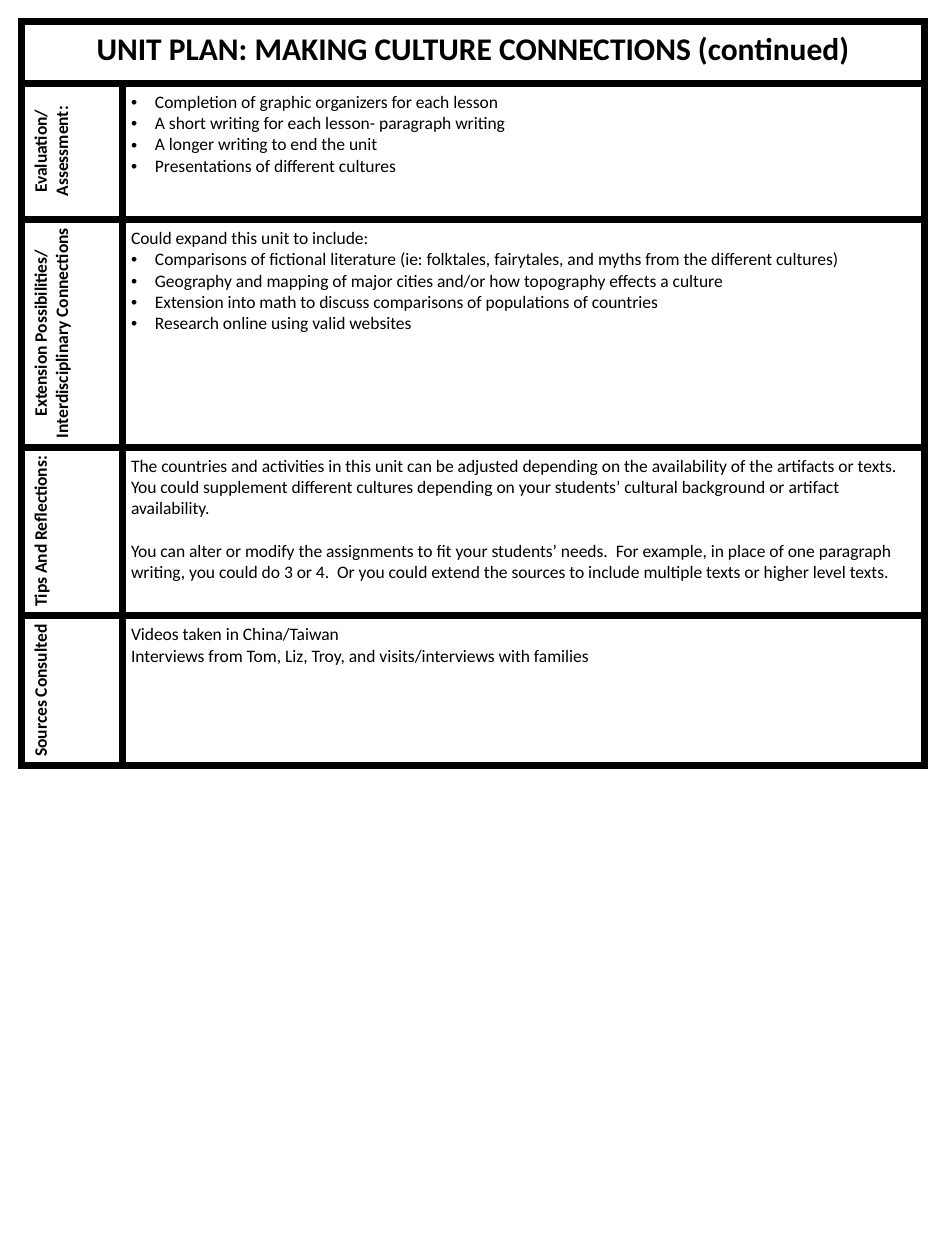
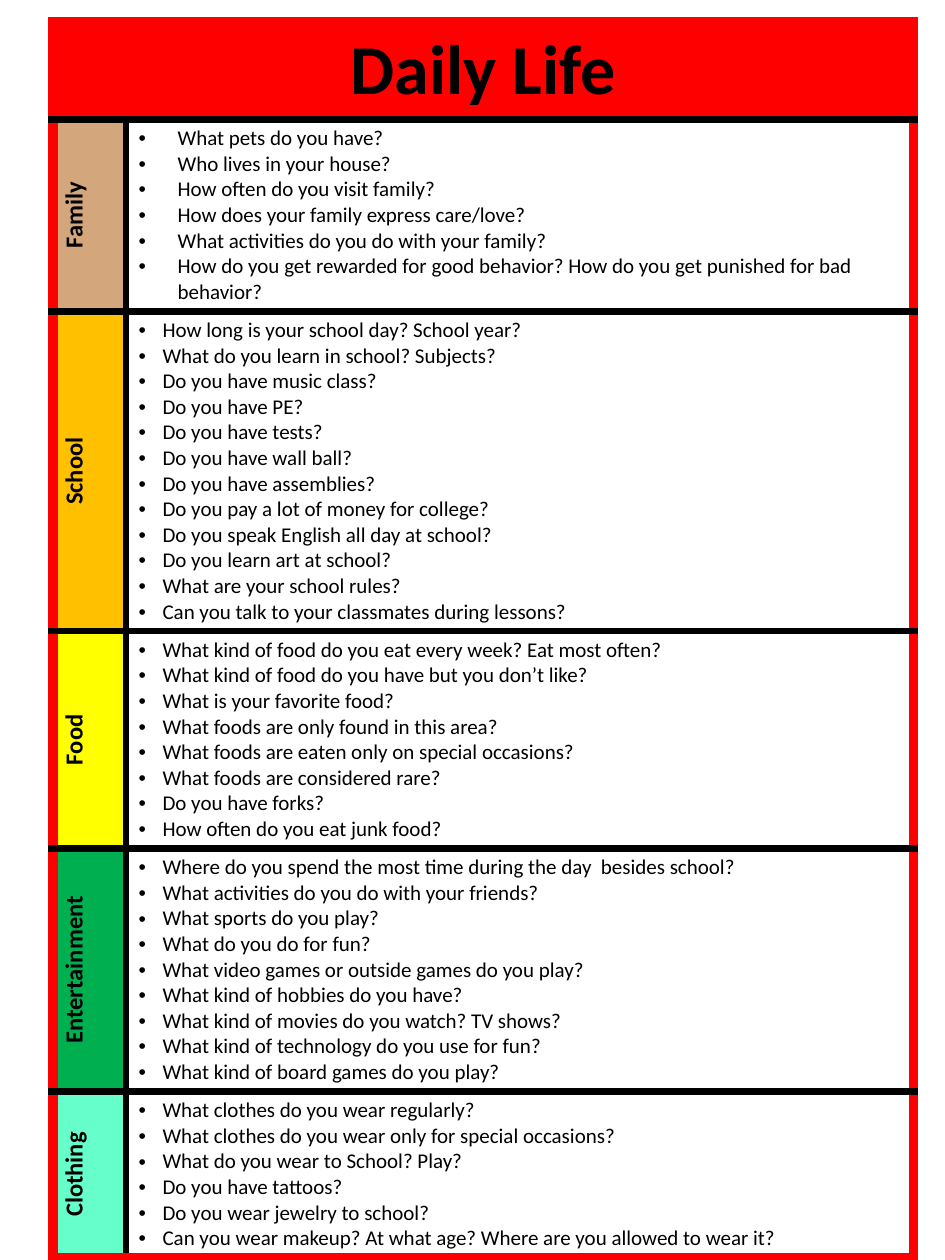
from lxml import etree
from pptx import Presentation
from pptx import util as u
from pptx.dml.color import RGBColor
from pptx.enum import text
from pptx.oxml.ns import qn

FONT = "Calibri"
BLACK, RED = "000000", "FF0000"
TOP = 0.17
RULE = (BLACK, 4.5)  # colour and width of the inner grid lines
TITLE_ROW = 0


def color(value):
    return RGBColor.from_string(value)


def apply(target, values):
    for name, value in values.items():
        setattr(target, name, value)


def lines(*texts, **options):
    """Paragraphs that share one format."""
    return [{"text": words, **options} for words in texts]


def bullets(*texts, indent=0.19):
    return lines(*texts, indent=indent)


# Table parts

def add_bullet(para, indent):
    props = para._p.get_or_add_pPr()
    props.set("marL", str(u.Inches(indent)))
    props.set("indent", str(-u.Inches(indent)))
    etree.SubElement(props, qn("a:buFont")).set("typeface", "Arial")
    etree.SubElement(props, qn("a:buChar")).set("char", "•")


def write(cell, items, size, bold=False, align=text.PP_ALIGN.LEFT):
    frame = cell.text_frame
    for number, item in enumerate(items):
        para = frame.add_paragraph() if number else frame.paragraphs[0]
        apply(para, {"alignment": align, "space_before": u.Pt(item.get("before", 0))})
        if "indent" in item:
            add_bullet(para, item["indent"])
        span = para.add_run()
        span.text = item["text"]
        apply(span.font, {"name": FONT, "size": u.Pt(size), "bold": bold})
        span.font.color.rgb = color(BLACK)


def write_heading(cell, items, size):
    write(cell, items, size, bold=True, align=text.PP_ALIGN.CENTER)


def paint(cell, fill):
    if fill:
        cell.fill.solid()
        cell.fill.fore_color.rgb = color(fill)
    else:
        cell.fill.background()


def add_borders(cell, edges):
    props = cell._tc.get_or_add_tcPr()
    for place, (side, (shade, width)) in enumerate(edges.items()):
        line = etree.Element(qn(f"a:ln{side}"), w=str(u.Pt(width)))
        fill = etree.SubElement(line, qn("a:solidFill"))
        etree.SubElement(fill, qn("a:srgbClr")).set("val", shade)
        props.insert(place, line)


def cell_edges(row, col, last_row, outer):
    """Outer sides take the frame's line, the rest the inner rule."""
    title = row == TITLE_ROW
    on_frame = {"L": col == 0 or title, "R": col == 1 or title,
                "T": title, "B": row == last_row}
    return {side: outer if outside else RULE for side, outside in on_frame.items()}


def add_plan(deck, title, sections, style):
    """A title row over sections of (label lines, paragraphs, label fill)."""
    page = deck.slides.add_slide(deck.slide_layouts[6])
    widths, heights = style["columns"], style["rows"]
    box = page.shapes.add_table(
        len(heights), len(widths), u.Inches(style["left"]), u.Inches(TOP),
        u.Inches(sum(widths)), u.Inches(style["height"]))
    table = box.table
    apply(table, {"first_row": False, "horz_banding": False})
    for column, width in zip(table.columns, widths):
        column.width = u.Inches(width)
    for row, height in zip(table.rows, heights):
        row.height = u.Inches(height)
    box.height = u.Inches(style["height"])

    table.cell(TITLE_ROW, 0).merge(table.cell(TITLE_ROW, 1))
    write_heading(table.cell(TITLE_ROW, 0), lines(title), style["title_size"])
    fills = [(style["title_fill"],) * 2]
    for row, (label, body, fill) in enumerate(sections, start=1):
        heading, content = table.cell(row, 0), table.cell(row, 1)
        write_heading(heading, lines(*label), style["label_size"])
        heading._tc.get_or_add_tcPr().set("vert", "vert270")
        write(content, body, style["body_size"])
        fills.append((fill, None))

    for row, pair in enumerate(fills):
        for col, fill in enumerate(pair):
            cell = table.cell(row, col)
            apply(cell, style["cell"])
            paint(cell, fill)
            add_borders(cell, cell_edges(row, col, len(sections), style["frame"]))


# Slide content

UNIT_STYLE = {
    "left": 0.17, "height": 5, "columns": [0.8, 6.37],
    "rows": [0.49, 1.08, 1.25, 1.27, 0.86],
    "title_size": 18, "label_size": 10, "body_size": 10,
    "title_fill": None, "frame": RULE,
    "cell": {f"margin_{side}": u.Inches(0.07)
             for side in ("left", "top", "right", "bottom")},
}
UNIT_SECTIONS = [
    (["Evaluation/", "Assessment:"], bullets(
        "Completion of graphic organizers for each lesson",
        "A short writing for each lesson- paragraph writing",
        "A longer writing to end the unit",
        "Presentations of different cultures"), None),
    (["Extension Possibilities/", "Interdisciplinary Connections"],
     lines("Could expand this unit to include:") + bullets(
        "Comparisons of fictional literature (ie: folktales, fairytales, and myths "
        "from the different cultures)",
        "Geography and mapping of major cities and/or how topography effects a culture",
        "Extension into math to discuss comparisons of populations of countries",
        "Research online using valid websites"), None),
    (["Tips And Reflections:"], lines(
        "The countries and activities in this unit can be adjusted depending on the "
        "availability of the artifacts or texts.  You could supplement different "
        "cultures depending on your students’ cultural background or artifact "
        "availability.") + lines(
        "You can alter or modify the assignments to fit your students’ needs.  For "
        "example, in place of one paragraph writing, you could do 3 or 4.  Or you could "
        "extend the sources to include multiple texts or higher level texts.",
        before=12.2), None),
    (["Sources Consulted"], lines(
        "Videos taken in China/Taiwan",
        "Interviews from Tom, Liz, Troy, and visits/interviews with families"), None),
]

DAILY_STYLE = {
    "left": 0.42, "height": 9.67, "columns": [0.58, 6.25],
    "rows": [0.41, 1.43, 0.85, 1.43, 1.83, 0.85],
    "title_size": 40, "label_size": 14, "body_size": 12,
    "title_fill": RED, "frame": (RED, 6),
    "cell": {"vertical_anchor": text.MSO_ANCHOR.MIDDLE},
}
DAILY_SECTIONS = [
    (["Family"], bullets(
        "What pets do you have?",
        "Who lives in your house?",
        "How often do you visit family?",
        "How does your family express care/love?",
        "What activities do you do with your family?",
        "How do you get rewarded for good behavior? How do you get punished for bad "
        "behavior?", indent=0.31), "D3A77B"),
    (["School"], bullets(
        "How long is your school day? School year?",
        "What do you learn in school? Subjects?",
        "Do you have music class?",
        "Do you have PE?",
        "Do you have tests?",
        "Do you have wall ball?",
        "Do you have assemblies?",
        "Do you pay a lot of money for college?",
        "Do you speak English all day at school?",
        "Do you learn art at school?",
        "What are your school rules?",
        "Can you talk to your classmates during lessons?"), "FFC000"),
    (["Food"], bullets(
        "What kind of food do you eat every week? Eat most often?",
        "What kind of food do you have but you don’t like?",
        "What is your favorite food?",
        "What foods are only found in this area?",
        "What foods are eaten only on special occasions?",
        "What foods are considered rare?",
        "Do you have forks?",
        "How often do you eat junk food?"), "FFFF00"),
    (["Entertainment"], bullets(
        "Where do you spend the most time during the day  besides school?",
        "What activities do you do with your friends?",
        "What sports do you play?",
        "What do you do for fun?",
        "What video games or outside games do you play?",
        "What kind of hobbies do you have?",
        "What kind of movies do you watch? TV shows?",
        "What kind of technology do you use for fun?",
        "What kind of board games do you play?"), "00B050"),
    (["Clothing"], bullets(
        "What clothes do you wear regularly?",
        "What clothes do you wear only for special occasions?",
        "What do you wear to School? Play?",
        "Do you have tattoos?",
        "Do you wear jewelry to school?",
        "Can you wear makeup? At what age? Where are you allowed to wear it?"), "66FFCC"),
]


def main():
    deck = Presentation()
    apply(deck, {"slide_width": u.Inches(7.5), "slide_height": u.Inches(10)})
    add_plan(deck, "UNIT PLAN: MAKING CULTURE CONNECTIONS (continued)",
             UNIT_SECTIONS, UNIT_STYLE)
    add_plan(deck, "Daily Life", DAILY_SECTIONS, DAILY_STYLE)
    deck.save("out.pptx")


if __name__ == "__main__":
    main()
